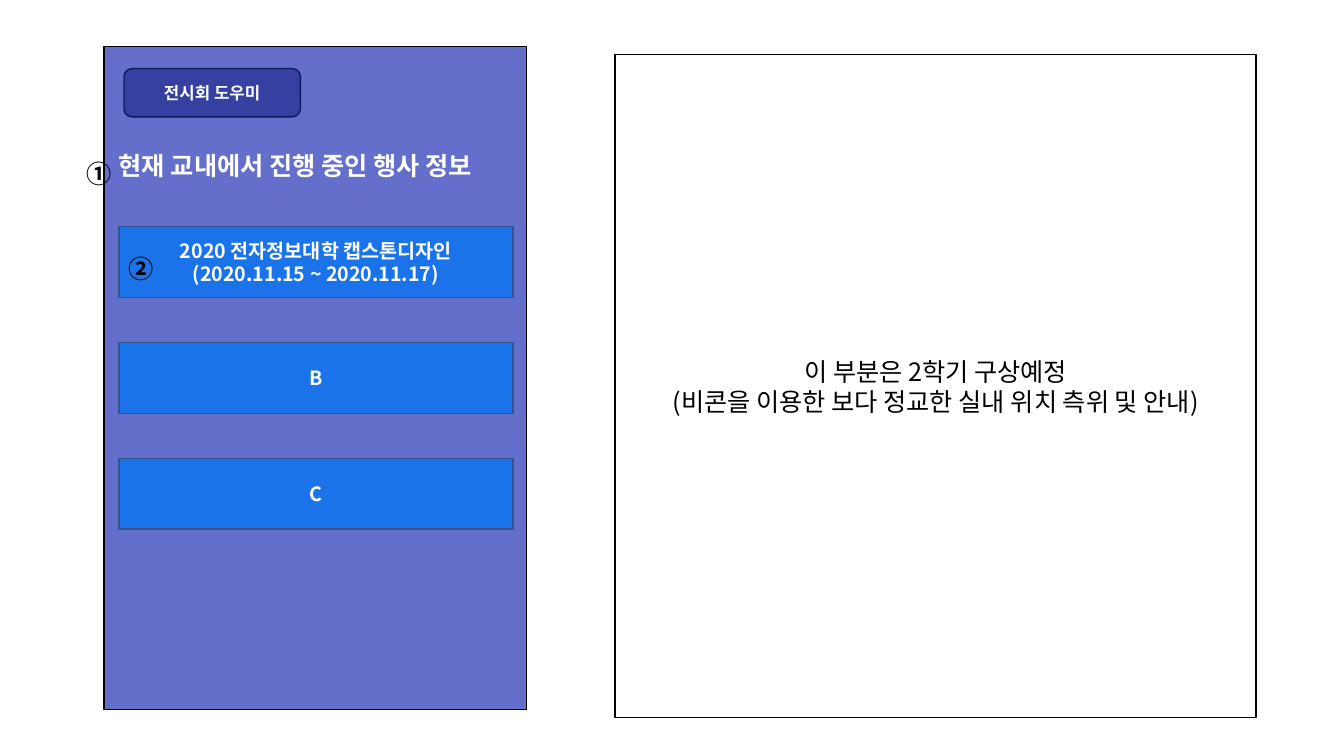
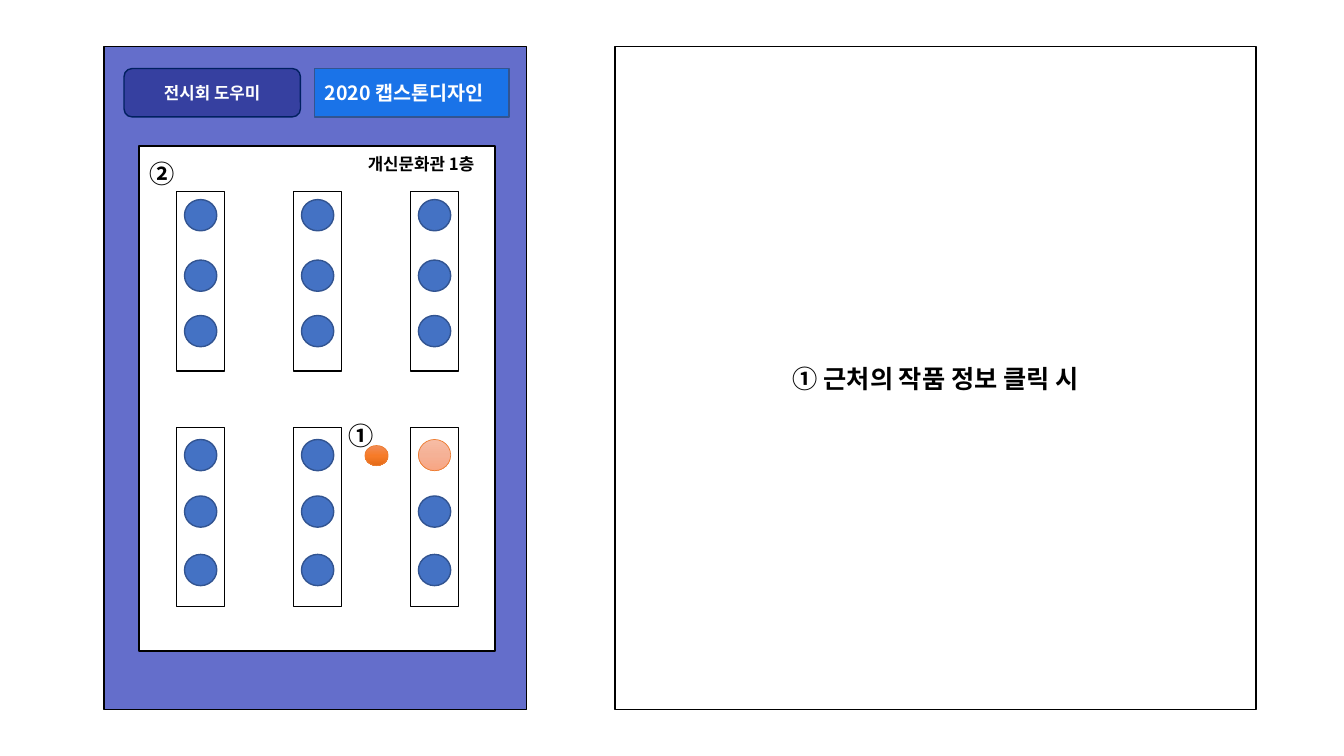
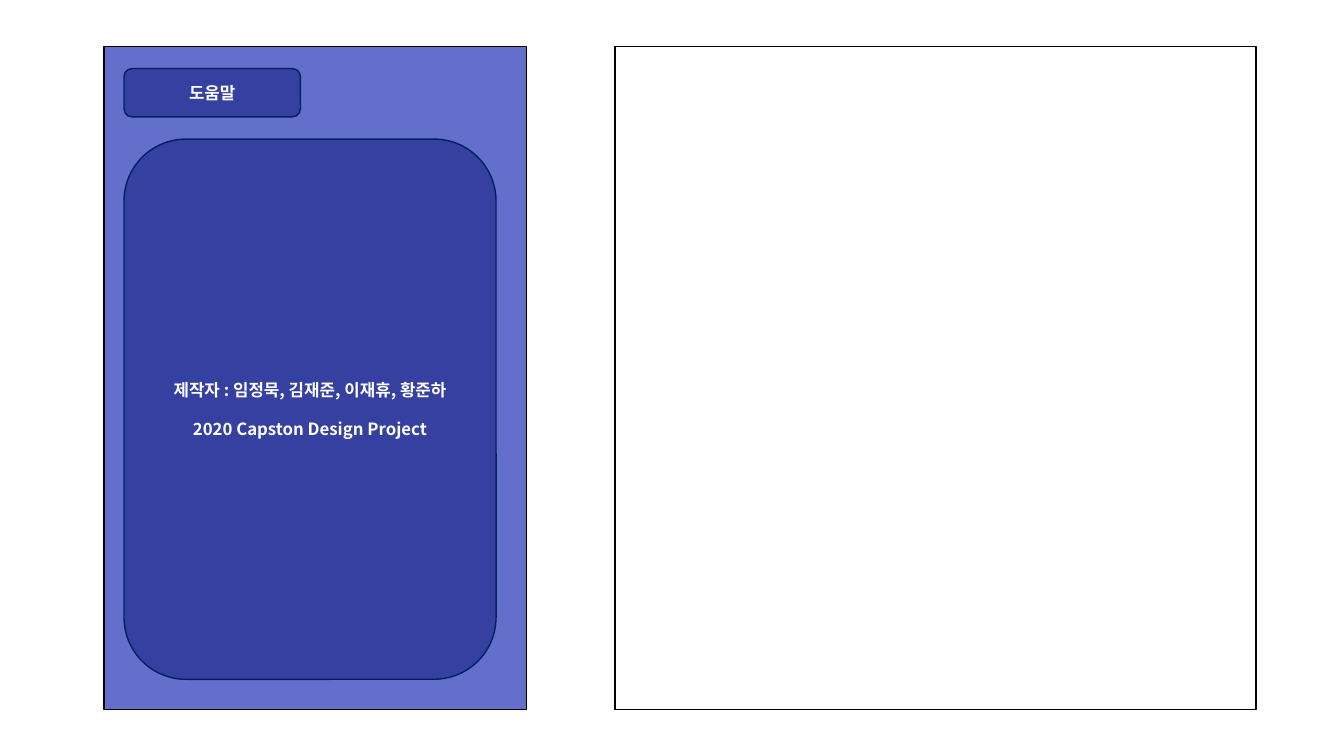
from copy import deepcopy

from lxml import etree
from pptx import Presentation
from pptx.dml.color import RGBColor
from pptx.enum.shapes import MSO_SHAPE
from pptx.enum.text import MSO_ANCHOR, MSO_AUTO_SIZE, PP_ALIGN
from pptx.oxml.ns import qn
from pptx.util import Emu, Pt

RECTANGLE = MSO_SHAPE.RECTANGLE
ROUNDED = MSO_SHAPE.ROUNDED_RECTANGLE
OVAL = MSO_SHAPE.OVAL
LEFT, CENTER, JUSTIFY = PP_ALIGN.LEFT, PP_ALIGN.CENTER, PP_ALIGN.JUSTIFY
MIDDLE = MSO_ANCHOR.MIDDLE
FIT_SHAPE = MSO_AUTO_SIZE.SHAPE_TO_FIT_TEXT

EMU_PER_PX = 9144
FONT = "Noto Sans CJK KR"
BLACK, WHITE = "000000", "FFFFFF"
SCREEN, NAVY, NAVY_EDGE = "646ECB", "3640A0", "002060"
BLUE, DOT, BLUE_EDGE = "1A73E8", "4472C4", "325491"
ORANGE_EDGE = "ED7D31"
PALE_ORANGE = ("F7BDA5", "F5B196", "F8A582")
STRONG_ORANGE = ("F18C57", "F67B28", "E56C19")


def px(length):
    return Emu(length * EMU_PER_PX)


def rgb(value):
    return RGBColor.from_string(value)


class Storyboard:
    """Hold the wireframe style and the slide being drawn."""

    def __init__(self):
        self.presentation = Presentation()
        self.presentation.slide_width = px(1333)
        self.presentation.slide_height = px(750)
        self.slide = None

    def add_screen(self, tab):
        self.slide = self.presentation.slides.add_slide(self.presentation.slide_layouts[6])
        self.box(103, 46, 419, 658, SCREEN, BLACK)
        self.navy_box(123, 68, 175, 48, [tab])

    def add_lines(self, frame, lines, size, color, bold=True, align=CENTER, spacing=None, gap=0):
        for index, line in enumerate(lines):
            paragraph = frame.add_paragraph() if index else frame.paragraphs[0]
            paragraph.alignment = align
            if spacing:
                paragraph.line_spacing = spacing
            if index and gap:
                paragraph.space_before = Pt(gap)
            run = paragraph.add_run()
            run.text = line
            run.font.size = Pt(size)
            run.font.bold = bold
            run.font.name = FONT
            run.font.color.rgb = rgb(color)
            east_asian = etree.SubElement(run.font._element, qn("a:ea"))
            east_asian.set("typeface", FONT)

    def box(self, left, top, width, height, fill, edge, kind=RECTANGLE, edge_width=1):
        shape = self.slide.shapes.add_shape(kind, px(left), px(top), px(width), px(height))
        shape.shadow.inherit = False
        shape.line.color.rgb = rgb(edge)
        shape.line.width = Pt(edge_width)
        shape.text_frame.vertical_anchor = MIDDLE
        if isinstance(fill, tuple):
            self.shade(shape, fill)
        else:
            shape.fill.solid()
            shape.fill.fore_color.rgb = rgb(fill)
        return shape

    def shade(self, shape, colors):
        shape.fill.gradient()
        shape.fill.gradient_angle = 270
        stops = shape._element.spPr.find(".//" + qn("a:gsLst"))
        stops.insert(1, deepcopy(stops[0]))
        for index, (stop, color) in enumerate(zip(shape.fill.gradient_stops, colors)):
            stop.position = index / 2
            stop.color.rgb = rgb(color)

    def navy_box(self, left, top, width, height, lines, gap=0):
        shape = self.box(left, top, width, height, NAVY, NAVY_EDGE, ROUNDED)
        self.add_lines(shape.text_frame, lines, 12, WHITE, gap=gap)

    def blue_button(self, left, top, width, height, lines, align=CENTER):
        shape = self.box(left, top, width, height, BLUE, BLUE_EDGE)
        self.add_lines(shape.text_frame, lines, 14, WHITE, align=align)

    def description(self, lines, top=46, bold=True):
        shape = self.box(610, top, 636, 658, WHITE, BLACK)
        self.add_lines(shape.text_frame, lines, 18, BLACK, bold)

    def label(self, left, top, width, height, text, size, color, wrap=True, align=LEFT, spacing=None):
        shape = self.slide.shapes.add_textbox(px(left), px(top), px(width), px(height))
        frame = shape.text_frame
        frame.word_wrap = wrap
        frame.auto_size = FIT_SHAPE
        self.add_lines(frame, [text], size, color, align=align, spacing=spacing)

    def marker(self, left, top, text):
        self.label(left, top, 46, 51, text, 18, BLACK, align=JUSTIFY, spacing=1.6)

    def dot(self, left, top):
        self.box(left, top, 32, 31, DOT, BLUE_EDGE, OVAL)

    def orange_dot(self, left, top, width, height, colors):
        self.box(left, top, width, height, colors, ORANGE_EDGE, OVAL, 0.5)


def draw_events(board):
    board.add_screen("전시회 도우미")
    board.description(
        ["이 부분은 2학기 구상예정", "(비콘을 이용한 보다 정교한 실내 위치 측위 및 안내)"], top=54, bold=False
    )
    events = (["2020 전자정보대학 캡스톤디자인", "(2020.11.15 ~ 2020.11.17)"], ["B"], ["C"])
    for index, lines in enumerate(events):
        board.blue_button(118, 225 + 115 * index, 391, 70, lines)
    board.label(108, 144, 458, 101, "현재 교내에서 진행 중인 행사 정보", 18, WHITE)
    board.marker(76, 134, "①")
    board.marker(118, 228, "②")


def draw_floor_plan(board):
    board.add_screen("전시회 도우미")
    board.description(["① 근처의 작품 정보 클릭 시"])
    board.box(138, 145, 353, 501, WHITE, BLACK)
    nearby = (407, 436)
    stands = ((190, (198, 258, 313)), (424, (436, 492, 550)))
    for left in range(175, 408, 116):
        for stand_top, dot_tops in stands:
            board.box(left, stand_top, 48, 178, WHITE, BLACK)
            for top in dot_tops:
                if (left, top) == nearby:
                    board.orange_dot(left + 8, top, 32, 31, PALE_ORANGE)
                else:
                    board.dot(left + 8, top)
    board.blue_button(312, 68, 193, 48, ["2020 캡스톤디자인"], LEFT)
    board.orange_dot(362, 442, 23, 20, STRONG_ORANGE)
    board.marker(336, 394, "①")
    board.marker(138, 134, "②")
    board.label(355, 148, 137, 30, "개신문화관 1층", 12, BLACK, wrap=False)


def draw_help(board):
    board.add_screen("도움말")
    board.description([])
    credits = ["제작자 : 임정묵, 김재준, 이재휴, 황준하", "2020 Capston Design Project"]
    board.navy_box(123, 138, 369, 536, credits, gap=14)


def main():
    board = Storyboard()
    draw_events(board)
    draw_floor_plan(board)
    draw_help(board)
    board.presentation.save("out.pptx")


if __name__ == "__main__":
    main()
